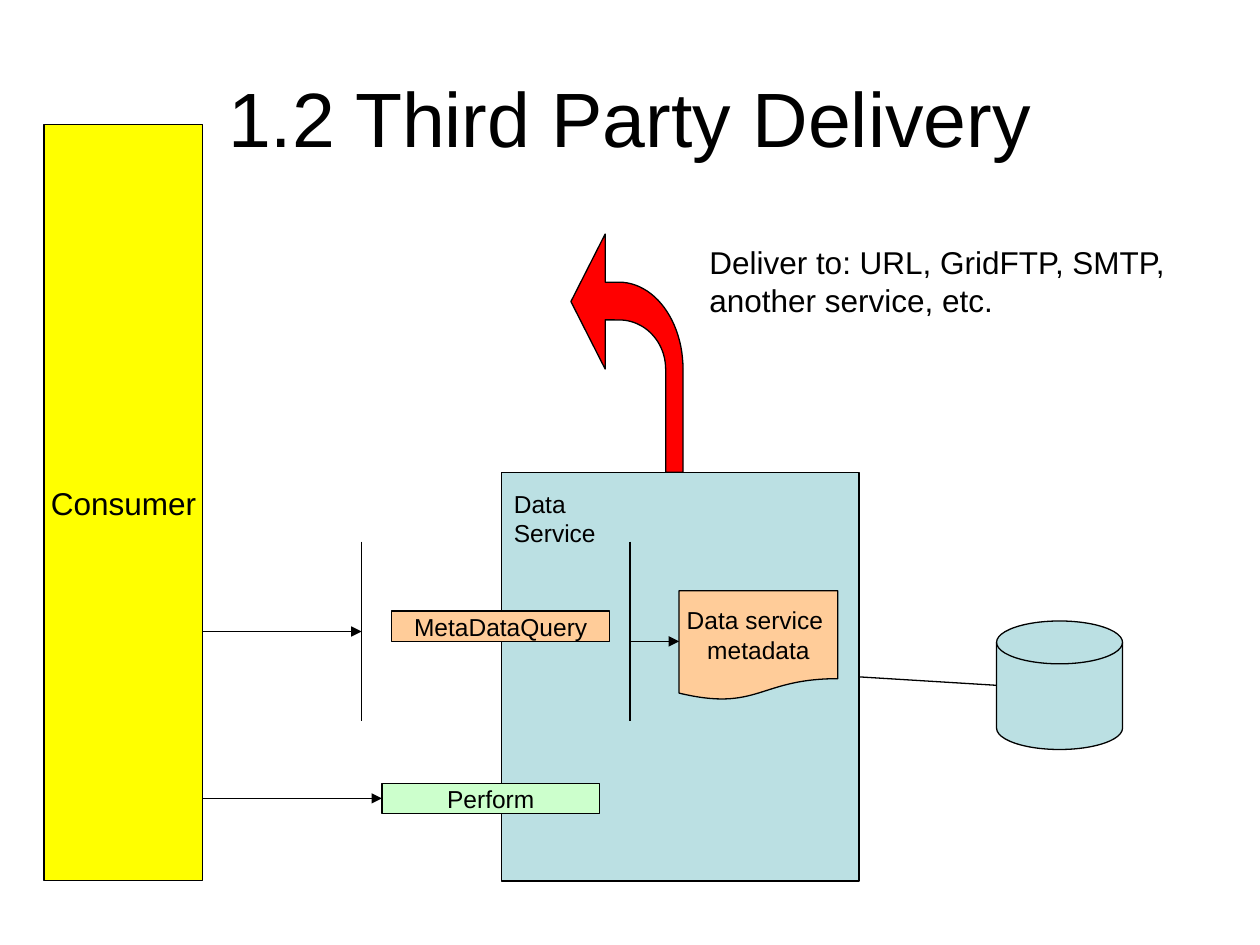
import math
from dataclasses import dataclass

from lxml import etree
from pptx import Presentation
from pptx import util as u
from pptx.dml.color import RGBColor
from pptx.enum import shapes as sh
from pptx.enum import text as tx
from pptx.oxml.ns import qn


@dataclass(frozen=True)
class Theme:
    font: str = "Arial"
    ink: str = "000000"
    user: str = "FFFF00"
    store: str = "BBE0E3"
    call: str = "CCFFCC"
    meta: str = "FFCC99"
    flow: str = "FF0000"
    head: int = 44
    body: int = 18
    small: int = 14
    line: float = 0.75


T = Theme()
KIND = sh.MSO_SHAPE
MID = tx.MSO_ANCHOR.MIDDLE
CENTER = tx.PP_ALIGN.CENTER


def color(code):
    return RGBColor.from_string(code)


def write(frame, words, size, align=None):
    frame.text = words
    for para in frame.paragraphs:
        para.alignment = align
        for run in para.runs:
            run.font.name = T.font
            run.font.size = u.Pt(size)
            run.font.color.rgb = color(T.ink)


def paint(shape, fill):
    shape.shadow.inherit = False
    shape.fill.solid()
    shape.fill.fore_color.rgb = color(fill)
    shape.line.color.rgb = color(T.ink)
    shape.line.width = u.Pt(T.line)


def block(slide, kind, box, fill, words="", size=T.small):
    shape = slide.shapes.add_shape(kind, *map(u.Cm, box))
    paint(shape, fill)
    if words:
        frame = shape.text_frame
        frame.word_wrap = False
        frame.vertical_anchor = MID
        write(frame, words, size, CENTER)
    return shape


def label(slide, box, words, size):
    frame = slide.shapes.add_textbox(*map(u.Cm, box)).text_frame
    frame.word_wrap = False
    frame.auto_size = tx.MSO_AUTO_SIZE.SHAPE_TO_FIT_TEXT
    write(frame, words, size)


def line(slide, x1, y1, x2, y2, arrow=False):
    link = slide.shapes.add_connector(
        sh.MSO_CONNECTOR.STRAIGHT, *map(u.Cm, (x1, y1, x2, y2)))
    link.line.color.rgb = color(T.ink)
    link.line.width = u.Pt(T.line)
    if arrow:
        etree.SubElement(link.line._get_or_add_ln(), qn("a:tailEnd"), type="triangle")
    etree.SubElement(link._element.spPr, qn("a:effectLst"))
    return link


def title(slide, box, words):
    head = slide.shapes.title
    head.left, head.top, head.width, head.height = map(u.Cm, box)
    head.text_frame.vertical_anchor = MID
    write(head.text_frame, words, T.head, CENTER)


def service(slide, box):
    """Service box with its two operations and its metadata."""
    x, y, _, _ = box
    host = block(slide, KIND.RECTANGLE, box, T.store)
    label(slide, (x, y + 0.2, 3.33, 0.86), "Data Service", T.small)
    call = block(slide, KIND.RECTANGLE, (x - 2.41, y + 6.26, 4.39, 0.61),
                 T.call, "Perform")
    block(slide, KIND.RECTANGLE, (x - 2.21, y + 2.79, 4.39, 0.61),
          T.meta, "MetaDataQuery")
    block(slide, KIND.FLOWCHART_DOCUMENT, (x + 3.58, y + 2.38, 3.2, 2.21),
          T.meta, "Data service \nmetadata")
    line(slide, x + 2.59, y + 1.39, x + 2.59, y + 5)
    line(slide, x + 2.59, y + 3.4, x + 3.58, y + 3.4, True)
    return host, call


def client(slide, box, call):
    """Requests that leave the consumer's right side."""
    x, y, wide, _ = box
    edge, bar = x + wide, x + 6.4
    mid = u.Emu(call.top + call.height // 2).cm
    line(slide, edge, mid, u.Emu(call.left).cm, mid, True).end_connect(call, 1)
    line(slide, bar, y + 8.41, bar, y + 12.02)
    line(slide, edge, y + 10.22, bar, y + 10.22, True)


def disk(slide, box, host):
    """Data store, linked to the service."""
    x, y, _, high = box
    block(slide, KIND.FLOWCHART_MAGNETIC_DISK, box, T.store)
    side = u.Emu(host.left + host.width).cm
    mid = u.Emu(host.top + host.height // 2).cm
    line(slide, x, y + high / 2, side, mid).end_connect(host, 3)


def arc(mid, wide, high, steps=24):
    """Quarter ellipse from its right end to its top."""
    turns = [math.pi / 2 * i / steps for i in range(steps + 1)]
    return [(mid[0] + wide * math.cos(a), mid[1] - high * math.sin(a))
            for a in turns]


def delivery(slide, box):
    """Bent arrow out of the service, with its targets."""
    x, y, wide, high = box
    neck, tip, mid = 0.69, 1.36, (0.97, 2.72)
    outer = arc(mid, wide - mid[0], mid[1] - 0.97)
    inner = arc(mid, 0.94, 0.99)[::-1]
    barb = [(neck, 0.97), (neck, 0), (0, tip), (neck, 2 * tip), (neck, 1.73)]
    outline = [(wide, high), *outer, *barb, *inner, (inner[-1][0], high)]
    points = [(u.Cm(x + px), u.Cm(y + py)) for px, py in outline]
    form = slide.shapes.build_freeform(*points[0])
    form.add_line_segments(points[1:], close=True)
    paint(form.convert_to_shape(), T.flow)
    label(slide, (x + 2.54, y + 0.06, 10.03, 1.78),
          "Deliver to: URL, GridFTP, SMTP,\nanother service, etc.", T.body)


def main():
    deck = Presentation()
    deck.slide_width, deck.slide_height = u.Cm(25.4), u.Cm(19.05)
    slide = deck.slides.add_slide(deck.slide_layouts[5])
    title(slide, (1.27, 0.76, 22.86, 3.18), "1.2 Third Party Delivery")
    user = (0.89, 2.51, 3.2, 15.24)
    block(slide, KIND.RECTANGLE, user, T.user, "Consumer", T.body)
    host, call = service(slide, (10.11, 9.53, 7.21, 8.23))
    client(slide, user, call)
    disk(slide, (20.09, 12.52, 2.54, 2.59), host)
    delivery(slide, (11.51, 4.72, 2.26, 4.8))
    deck.save("out.pptx")


if __name__ == "__main__":
    main()
